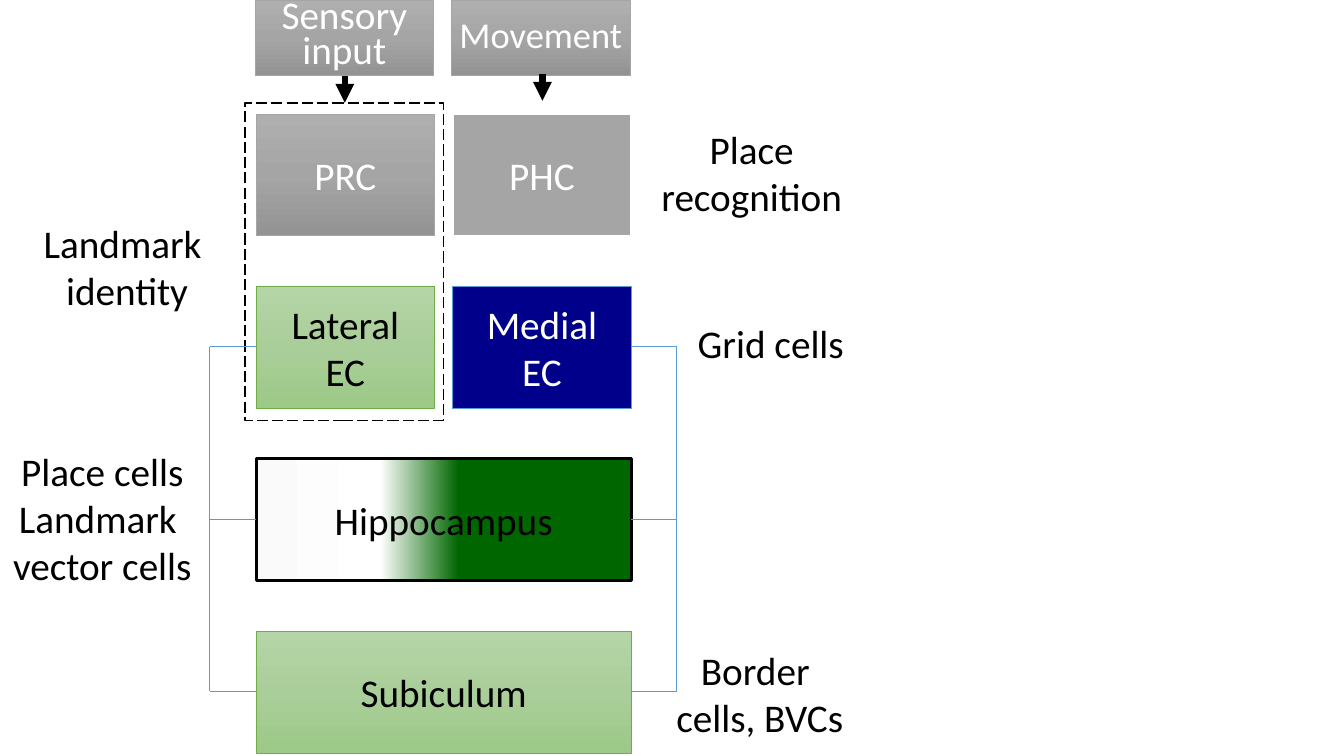
from dataclasses import dataclass
from itertools import pairwise
from typing import NamedTuple

from lxml import etree
from pptx import Presentation
from pptx import util as u
from pptx.dml.color import RGBColor
from pptx.enum import dml, shapes, text
from pptx.oxml.ns import qn


@dataclass(frozen=True)
class Theme:
    """Colours, gradients and type sizes of the slide."""
    font: str = "Calibri"
    size: int = 28
    small: int = 26
    tight: int = 25
    black: str = "000000"
    white: str = "FFFFFF"
    grey: str = "A5A5A5"
    navy: str = "00008B"
    green: str = "70AD47"
    blue: str = "5B9BD5"
    grey_fade: tuple = ((0, "AFAFAF"), (50, "A5A5A5"), (100, "939393"))
    green_fade: tuple = ((0, "B5D5A7"), (50, "AACE9A"), (100, "9CC987"))
    place_fade: tuple = ((0, "FAFAFA"), (33, "FFFFFF"), (54, "006600"), (100, "006600"))


class Region(NamedTuple):
    """A box of the diagram; a tuple as fill is a gradient."""
    words: str
    left: float
    top: float
    width: float
    height: float
    fill: str | tuple | None
    outline: str
    ink: str = "000000"
    weight: float = 0.5
    angle: int = 270
    size: int = 28
    spacing: int | None = None
    inset: float | None = None


class Caption(NamedTuple):
    """A free label beside the diagram."""
    words: str
    left: float
    top: float
    width: float
    height: float


THEME = Theme()
COLUMNS = (2.54, 4.49)
INPUT_COLUMNS = (2.53, 4.48)
ROWS = [1.13 + 1.71 * step for step in range(4)]
NARROW, WIDE, TALL, SHORT = 1.77, 3.72, 1.21, 0.75

REGIONS = (
    Region("Hippocampus", COLUMNS[0], ROWS[2], WIDE, TALL, THEME.place_fade,
           THEME.black, weight=2.25, angle=0),
    Region("Lateral\nEC", COLUMNS[0], ROWS[1], NARROW, TALL, THEME.green_fade, THEME.green),
    Region("Medial\nEC", COLUMNS[1], ROWS[1], NARROW, TALL, THEME.navy, THEME.blue, THEME.white),
    Region("PRC", COLUMNS[0], ROWS[0], NARROW, TALL, THEME.grey_fade, THEME.grey, THEME.white),
    Region("PHC", COLUMNS[1], ROWS[0], NARROW, TALL, THEME.grey, THEME.white, THEME.white, 1.5),
    Region("Subiculum", COLUMNS[0], ROWS[3], WIDE, TALL, THEME.green_fade, THEME.green),
    Region("Sensory\ninput", INPUT_COLUMNS[0], 0, NARROW, SHORT, THEME.grey_fade,
           THEME.grey, THEME.white, spacing=THEME.tight),
    Region("Movement", INPUT_COLUMNS[1], 0, NARROW, SHORT, THEME.grey_fade, THEME.grey,
           THEME.white, size=THEME.small, spacing=THEME.tight, inset=0),
)
LANDMARK_FRAME = Region("", 2.43, 1.02, 1.97, 3.15, None, THEME.black, weight=1)
CAPTIONS = (
    Caption("Landmark \nidentity", 0.3, 2.13, 1.92, 1.04),
    Caption("Place\nrecognition", 6.45, 1.19, 2.01, 1.04),
    Caption("Grid cells", 6.81, 3.12, 1.67, 0.57),
    Caption("Border \ncells, BVCs", 6.6, 6.36, 1.87, 1.04),
    Caption("Place cells\nLandmark \nvector cells", 0, 4.39, 2.03, 1.51),
)


def write(frame, words: str, ink: str, size: int, spacing: int | None = None) -> None:
    """Fill a text frame with centred, formatted paragraphs."""
    frame.text = words
    for paragraph in frame.paragraphs:
        paragraph.alignment = text.PP_ALIGN.CENTER
        if spacing:
            paragraph.line_spacing = u.Pt(spacing)
        for run in paragraph.runs:
            run.font.name, run.font.size = THEME.font, u.Pt(size)
            run.font.color.rgb = RGBColor.from_string(ink)


def fade(shape, stops: tuple, angle: int) -> None:
    """Give a shape a linear gradient with any number of stops."""
    shape.fill.gradient()
    shape.fill.gradient_angle = angle
    stop_list = next(shape.element.iter(qn("a:gsLst")))
    stop_list.clear()
    for percent, colour in stops:
        stop = etree.SubElement(stop_list, qn("a:gs"), pos=str(percent * 1000))
        etree.SubElement(stop, qn("a:srgbClr"), val=colour)


def draw_region(slide, region: Region):
    """Draw one box with its words."""
    box = slide.shapes.add_shape(
        shapes.MSO_SHAPE.RECTANGLE, u.Inches(region.left), u.Inches(region.top),
        u.Inches(region.width), u.Inches(region.height))
    box.shadow.inherit = False
    if region.fill is None:
        box.fill.background()
    elif isinstance(region.fill, tuple):
        fade(box, region.fill, region.angle)
    else:
        box.fill.solid()
        box.fill.fore_color.rgb = RGBColor.from_string(region.fill)
    box.line.color.rgb = RGBColor.from_string(region.outline)
    box.line.width = u.Pt(region.weight)
    frame = box.text_frame
    frame.vertical_anchor = text.MSO_ANCHOR.MIDDLE
    if region.inset is not None:
        frame.margin_left = frame.margin_right = u.Inches(region.inset)
        frame.margin_top = frame.margin_bottom = u.Inches(region.inset)
    if region.words:
        write(frame, region.words, region.ink, region.size, region.spacing)
    return box


def draw_caption(slide, caption: Caption) -> None:
    """Draw one label that does not wrap."""
    label = slide.shapes.add_textbox(
        u.Inches(caption.left), u.Inches(caption.top),
        u.Inches(caption.width), u.Inches(caption.height))
    label.text_frame.word_wrap = False
    label.text_frame.auto_size = text.MSO_AUTO_SIZE.SHAPE_TO_FIT_TEXT
    write(label.text_frame, caption.words, THEME.black, THEME.size)


def draw_link(slide, start: tuple[float, float], end: tuple[float, float],
              colour: str, weight: float, arrow: bool = False) -> None:
    """Draw a straight line, with an arrowhead at its end if asked."""
    link = slide.shapes.add_connector(
        shapes.MSO_CONNECTOR.STRAIGHT, *(u.Inches(value) for value in (*start, *end)))
    link.line.color.rgb = RGBColor.from_string(colour)
    link.line.width = u.Pt(weight)
    if arrow:
        etree.SubElement(link.line._get_or_add_ln(), qn("a:tailEnd"), type="triangle")
    etree.SubElement(link.element.spPr, qn("a:effectLst"))


def draw_bracket(slide, edge: float, rail: float) -> None:
    """Join the lower three rows along a vertical rail."""
    levels = [top + 0.6 for top in ROWS[1:]]
    for level in levels:
        draw_link(slide, (edge, level), (rail, level), THEME.blue, 0.5)
    for upper, lower in pairwise(levels):
        draw_link(slide, (rail, upper), (rail, lower), THEME.blue, 0.5)


def main() -> None:
    """Build and save the slide."""
    deck = Presentation()
    deck.slide_width, deck.slide_height = u.Inches(13.33), u.Inches(7.5)
    slide = deck.slides.add_slide(deck.slide_layouts[6])
    for region in REGIONS:
        draw_region(slide, region)
    draw_region(slide, LANDMARK_FRAME).line.dash_style = dml.MSO_LINE.LONG_DASH
    for caption in CAPTIONS:
        draw_caption(slide, caption)
    draw_bracket(slide, COLUMNS[0], 2.08)
    draw_bracket(slide, COLUMNS[0] + WIDE, 6.71)
    for middle, top in ((3.42, 0.75), (5.38, 0.73)):
        draw_link(slide, (middle, top), (middle, top + 0.27), THEME.black, 4.5, arrow=True)
    deck.save("out.pptx")


main()
